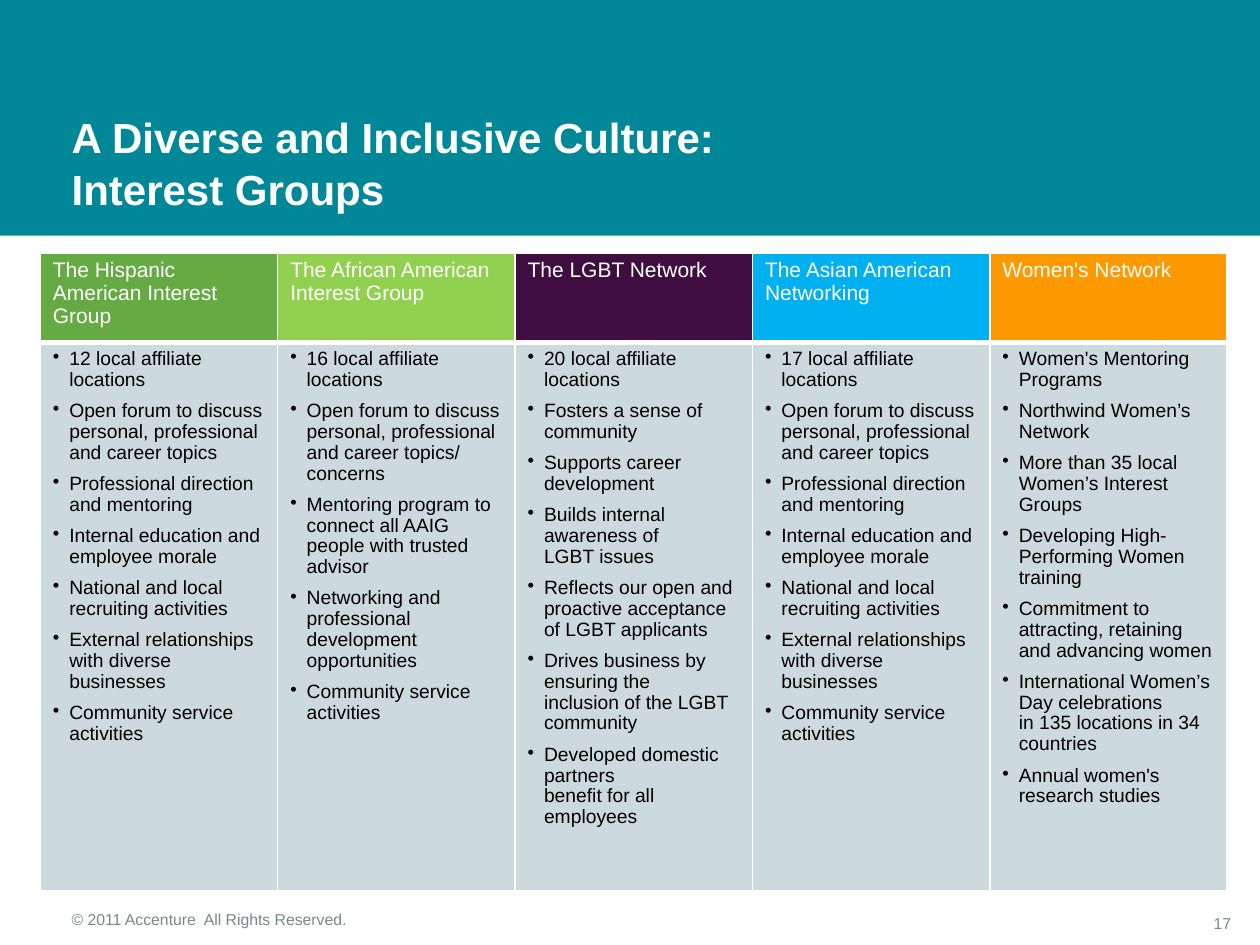
import pptx
import pptx.dml.color
import pptx.enum.shapes
import pptx.enum.text
import pptx.oxml
import pptx.oxml.ns
import pptx.util

ALIGN = pptx.enum.text.PP_ALIGN
COLORS = {
    "white": "FFFFFF", "black": "000000", "teal": "008899", "gray": "778888",
    "panel": "CCDADE", "green": "66AA44", "lime": "92D050", "purple": "400D40",
    "blue": "00B0F0", "orange": "FF9900",
}
STYLES = {
    "title": {"size": 24, "bold": True, "color": "white", "leading": 1.05},
    "head": {"size": 12, "bold": False, "color": "white", "leading": 0.97},
    "body": {"size": 11, "bold": False, "color": "black", "leading": 0.97},
    "foot": {"size": 9, "bold": False, "color": "gray", "leading": 1.0},
}
LOCAL_WORK = [
    "Open forum to discuss personal, professional and career topics",
    "Professional direction and mentoring",
    "Internal education and employee morale",
    "National and local recruiting activities",
    "External relationships with diverse businesses",
    "Community service activities",
]
GROUPS = [
    ("The Hispanic American Interest Group", "green",
     ["12 local affiliate locations"] + LOCAL_WORK),
    ("The African American Interest Group", "lime", [
        "16 local affiliate locations",
        "Open forum to discuss personal, professional and career topics/ concerns",
        "Mentoring program to connect all AAIG people with trusted advisor",
        "Networking and professional development opportunities",
        "Community service activities",
    ]),
    ("The LGBT Network", "purple", [
        "20 local affiliate locations",
        "Fosters a sense of community",
        "Supports career development",
        "Builds internal awareness of\vLGBT issues",
        "Reflects our open and proactive acceptance of LGBT applicants",
        "Drives business by ensuring the\vinclusion of the LGBT community",
        "Developed domestic partners\vbenefit for all employees",
    ]),
    ("The Asian American Networking", "blue",
     ["17 local affiliate locations"] + LOCAL_WORK),
    ("Women's Network", "orange", [
        "Women's Mentoring Programs",
        "Northwind Women’s Network",
        "More than 35 local Women’s Interest Groups",
        "Developing High-Performing Women training",
        "Commitment to attracting, retaining and advancing women",
        "International Women’s Day celebrations\vin 135 locations in 34 countries",
        "Annual women's research studies",
    ]),
]


class Deck:
    """Hold the style and current slide, placing elements on a 100 by 75 grid."""

    def __init__(self, font="Arial", unit=0.1):
        self.font, self.unit = font, unit
        self.prs = pptx.Presentation()
        self.prs.slide_width, self.prs.slide_height = self.grid(100, 75)
        self.s = self.prs.slides.add_slide(self.prs.slide_layouts[6])

    def grid(self, *cells):
        return [pptx.util.Inches(c * self.unit) for c in cells]

    def rgb(self, name):
        return pptx.dml.color.RGBColor.from_string(COLORS[name])

    def fill(self, target, color):
        target.fill.solid()
        target.fill.fore_color.rgb = self.rgb(color)

    def paragraph(self, p, text, style, align=ALIGN.LEFT):
        fmt = STYLES[style]
        p.text = text
        p.alignment, p.line_spacing = align, fmt["leading"]
        values = {"name": self.font, "size": pptx.util.Pt(fmt["size"]), "bold": fmt["bold"]}
        for r in p.runs:
            for key, value in values.items():
                setattr(r.font, key, value)
            r.font.color.rgb = self.rgb(fmt["color"])

    def band(self, box, color):
        sp = self.s.shapes.add_shape(
            pptx.enum.shapes.MSO_SHAPE.RECTANGLE, *self.grid(*box))
        sp.shadow.inherit = False
        self.fill(sp, color)
        sp.line.fill.background()

    def text(self, box, text, style, align=ALIGN.LEFT):
        tf = self.s.shapes.add_textbox(*self.grid(*box)).text_frame
        tf.word_wrap = True
        tf.vertical_anchor = pptx.enum.text.MSO_ANCHOR.BOTTOM
        self.paragraph(tf.paragraphs[0], text, style, align)

    def bullets(self, tf, items):
        for i, item in enumerate(items):
            p = tf.add_paragraph() if i else tf.paragraphs[0]
            pPr = p._p.get_or_add_pPr()
            indent = pptx.util.Inches(0.13)
            pPr.set("marL", str(indent))
            pPr.set("indent", str(-indent))
            bullet = pptx.oxml.parse_xml(
                f'<a:buChar {pptx.oxml.ns.nsdecls("a")} char="•"/>')
            pPr.append(bullet)
            self.paragraph(p, item, "body")
            if i:
                p.space_before = pptx.util.Pt(6)

    def borders(self, cell, bottom):
        tcPr = cell._tc.get_or_add_tcPr()
        widths = {"lnL": 1, "lnR": 1, "lnT": 1, "lnB": bottom}
        for i, (tag, width) in enumerate(widths.items()):
            tcPr.insert(i, pptx.oxml.parse_xml(
                f'<a:{tag} {pptx.oxml.ns.nsdecls("a")} w="{pptx.util.Pt(width)}">'
                f'<a:solidFill><a:srgbClr val="{COLORS["white"]}"/></a:solidFill></a:{tag}>'))

    def table(self, box, rows, groups):
        tbl = self.s.shapes.add_table(2, len(groups), *self.grid(*box)).table
        tbl.horz_banding = False
        for row, height in zip(tbl.rows, self.grid(*rows)):
            row.height = height
        for i, (head, color, items) in enumerate(groups):
            top, body = tbl.cell(0, i), tbl.cell(1, i)
            self.paragraph(top.text_frame.paragraphs[0], head, "head")
            self.bullets(body.text_frame, items)
            for cell, shade, bottom in ((top, color, 3), (body, "panel", 1)):
                self.fill(cell, shade)
                self.borders(cell, bottom)


def main():
    deck = Deck()
    deck.band((0, 0, 100, 18.7), "teal")
    deck.table((3.2, 20.1, 94.2, 50.6), (7.1, 43.5), GROUPS)
    deck.text((94.1, 69.5, 4.6, 5), "17", "foot", ALIGN.RIGHT)
    deck.text((4.7, 69.2, 31.7, 5), "© 2011 Accenture  All Rights Reserved.", "foot")
    deck.text((4.7, 8.7, 92.8, 8.8),
              "A Diverse and Inclusive Culture:\vInterest Groups", "title")
    deck.prs.save("out.pptx")


if __name__ == "__main__":
    main()
